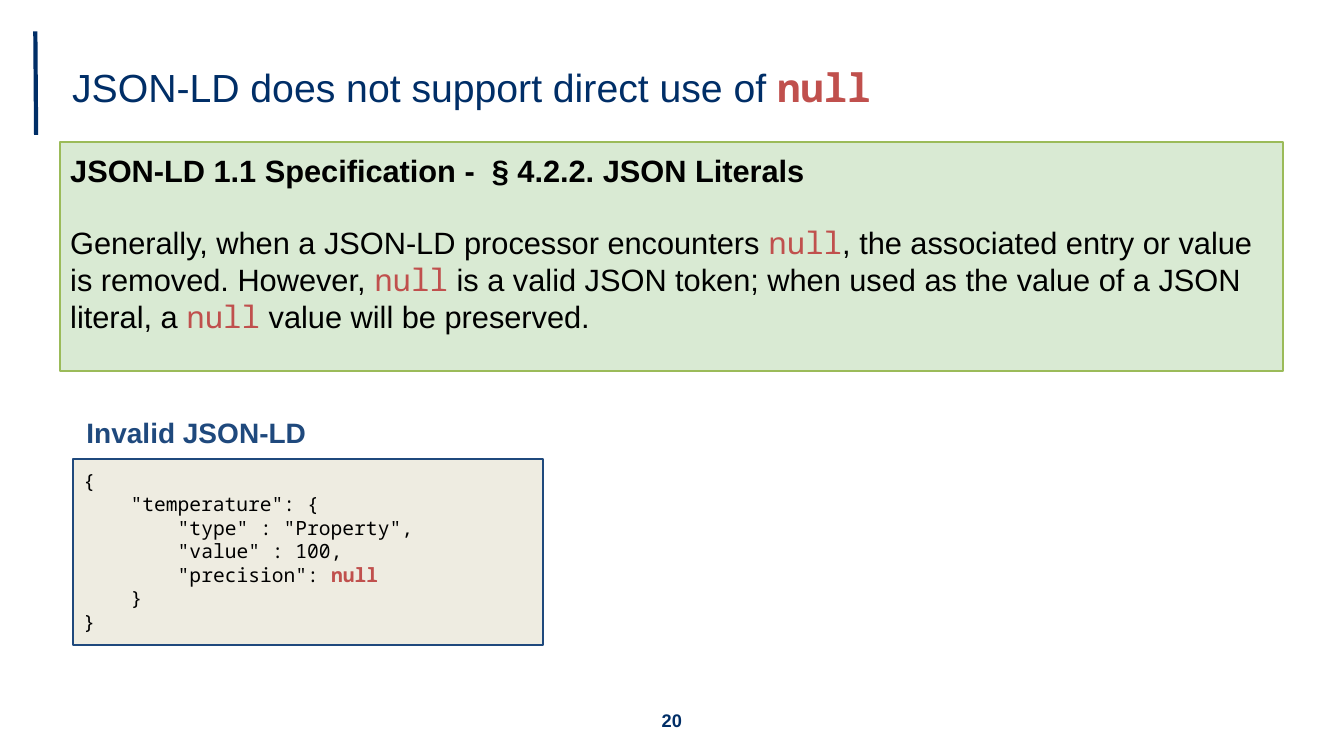
import pptx
import pptx.dml.color
import pptx.enum.shapes
import pptx.enum.text
import pptx.oxml.ns
import pptx.util
from dataclasses import dataclass
from lxml import etree

Cm, Pt = pptx.util.Cm, pptx.util.Pt
ANCHOR = pptx.enum.text.MSO_ANCHOR
ALIGN = pptx.enum.text.PP_ALIGN


@dataclass(frozen=True)
class Theme:
    sans: str = "Arial"
    mono: str = "Noto Sans Mono"
    navy: str = "002E67"
    blue: str = "1F497D"
    red: str = "C0504D"
    black: str = "000000"
    green_fill: str = "D9EAD3"
    green_line: str = "9BBB59"
    code_fill: str = "EEECE1"
    title_size: int = 28
    spec_size: int = 22
    label_size: int = 20
    code_size: int = 14
    number_size: int = 13


theme = Theme()
rgb = pptx.dml.color.RGBColor.from_string


def add_text(shape, paragraphs, size, color, name=theme.sans, bold=False,
             anchor=ANCHOR.TOP, align=ALIGN.LEFT, margin=0.25):
    """Fill a shape; each paragraph is a list of (text, format changes)."""
    frame = shape.text_frame
    settings = {"word_wrap": True, "vertical_anchor": anchor,
                "margin_left": Cm(0.25), "margin_right": Cm(0.25),
                "margin_top": Cm(margin), "margin_bottom": Cm(margin)}
    for attribute, value in settings.items():
        setattr(frame, attribute, value)
    for index, runs in enumerate(paragraphs):
        paragraph = frame.add_paragraph() if index else frame.paragraphs[0]
        paragraph.alignment = align
        for text, changes in runs:
            run = paragraph.add_run()
            run.text = text
            style = {"size": Pt(size), "name": name, "bold": bold, "color": color} | changes
            run.font.color.rgb = rgb(style.pop("color"))
            for attribute, value in style.items():
                setattr(run.font, attribute, value)


def add_box(left, top, width, height, fill, line):
    box = slide.shapes.add_shape(pptx.enum.shapes.MSO_SHAPE.RECTANGLE,
                                 Cm(left), Cm(top), Cm(width), Cm(height))
    box.shadow.inherit = False
    box.fill.solid()
    box.fill.fore_color.rgb = rgb(fill)
    box.line.color.rgb = rgb(line)
    box.line.width = Pt(1.5)
    return box


presentation = pptx.Presentation()
presentation.slide_width = Cm(33.87)
presentation.slide_height = Cm(19.05)
slide = presentation.slides.add_slide(presentation.slide_layouts[6])

# Accent line beside the title
accent = slide.shapes.add_connector(pptx.enum.shapes.MSO_CONNECTOR.STRAIGHT,
                                    Cm(0.91), Cm(3.4), Cm(0.89), Cm(0.79))
accent.line.color.rgb = rgb(theme.navy)
accent.line.width = Pt(3)
etree.SubElement(accent.element.spPr, pptx.oxml.ns.qn("a:effectLst"))

# Title, label and slide number
null = ("null", {"name": theme.mono, "color": theme.red})
bold_null = ("null", null[1] | {"bold": True})

title = slide.shapes.add_textbox(Cm(1.57), Cm(0.79), Cm(29.16), Cm(2.79))
add_text(title, [[("JSON-LD does not support direct use of ", {}), bold_null]],
         theme.title_size, theme.navy, anchor=ANCHOR.MIDDLE, margin=0.13)

label = slide.shapes.add_textbox(Cm(1.93), Cm(10.34), Cm(11.76), Cm(1.2))
add_text(label, [[("Invalid JSON-LD", {})]], theme.label_size, theme.blue,
         bold=True, margin=0.13)

number = slide.shapes.add_textbox(Cm(15.01), Cm(17.65), Cm(3.84), Cm(1.02))
add_text(number, [[("20", {})]], theme.number_size, theme.navy, bold=True,
         anchor=ANCHOR.MIDDLE, align=ALIGN.CENTER, margin=0.13)

# Quotation from the specification
specification = add_box(1.52, 3.58, 30.81, 5.77, theme.green_fill, theme.green_line)
add_text(specification, [
    [("JSON-LD 1.1 Specification -  § 4.2.2. JSON Literals", {"bold": True})],
    [("Generally, when a JSON-LD processor encounters ", {}), null,
     (", the associated entry or value is removed. However, ", {}), null,
     (" is a valid JSON token; when used as the value of a JSON literal, a ", {}), null,
     (" value will be preserved.", {})],
], theme.spec_size, theme.black)
specification.text_frame.paragraphs[1].space_before = Pt(25)

# Code sample: nesting depth and runs of each line
code_lines = [
    (0, [("{", {})]),
    (1, [('"temperature": {', {})]),
    (2, [('"type" : "Property",', {})]),
    (2, [('"value" : 100,', {})]),
    (2, [('"precision": ', {}), bold_null]),
    (1, [("}", {})]),
    (0, [("}", {})]),
]
code = add_box(1.85, 11.56, 11.84, 4.7, theme.code_fill, theme.blue)
add_text(code, [runs for depth, runs in code_lines],
         theme.code_size, theme.black, name=theme.mono)
for paragraph, (depth, runs) in zip(code.text_frame.paragraphs, code_lines):
    properties = paragraph._p.get_or_add_pPr()
    properties.set("marL", str(depth * Cm(1.19)))
    properties.set("indent", "0")

presentation.save("out.pptx")
